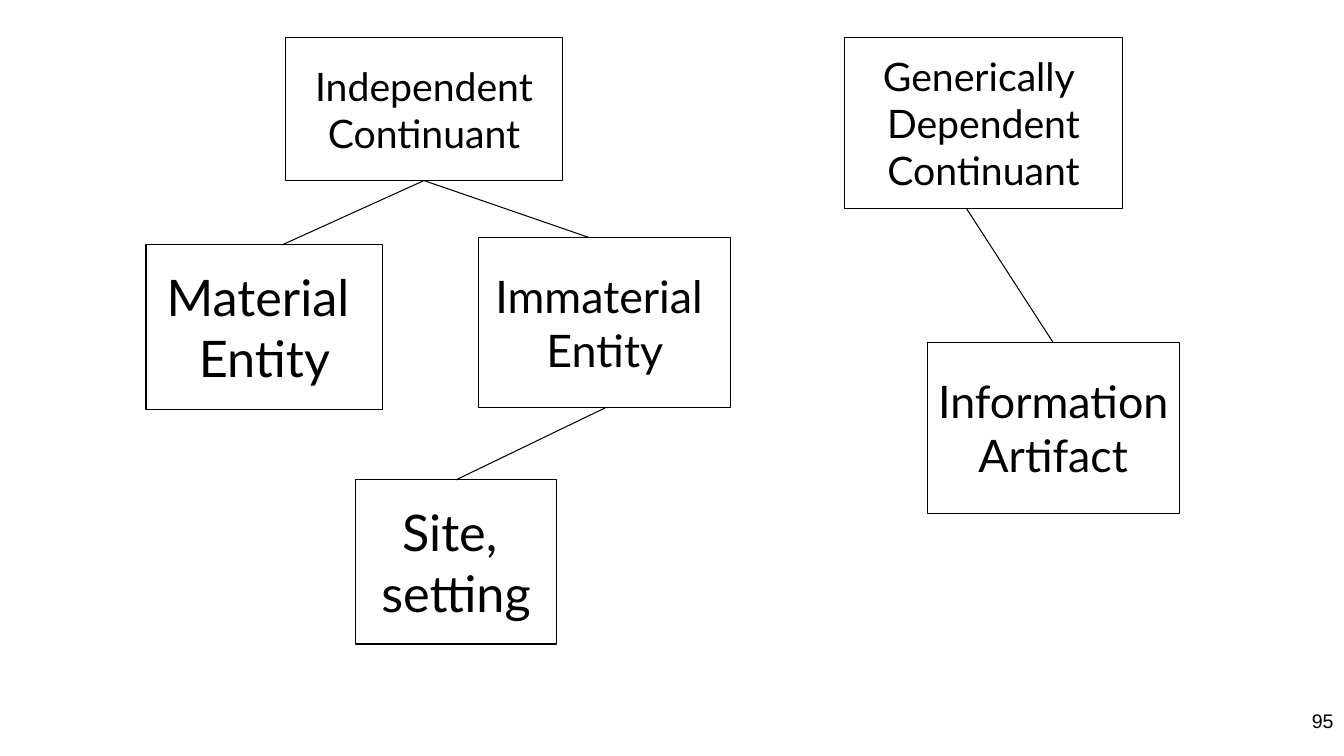
from dataclasses import dataclass

from lxml.etree import SubElement
from pptx import Presentation
from pptx.dml.color import RGBColor
from pptx.enum.shapes import MSO_CONNECTOR, MSO_SHAPE
from pptx.enum.text import MSO_ANCHOR, PP_ALIGN
from pptx.oxml.ns import qn
from pptx.util import Cm, Pt


@dataclass(frozen=True)
class Theme:
    ink: RGBColor = RGBColor(0, 0, 0)
    label_font: str = "Lato"
    number_font: str = "Arial"
    small: Pt = Pt(28)
    medium: Pt = Pt(32)
    large: Pt = Pt(36)
    number: Pt = Pt(14)
    line_width: Pt = Pt(0.75)


THEME = Theme()
TOP, BOTTOM = 0, 2

# name: (left, top, width, height in cm, type size, lines of text)
CLASSES = {
    "independent": (7.19, 0.94, 6.99, 3.61, THEME.small, ["Independent", "Continuant"]),
    "material": (3.68, 6.17, 5.97, 4.14, THEME.large, ["Material ", "Entity"]),
    "immaterial": (12.07, 5.99, 6.35, 4.29, THEME.medium, ["Immaterial ", "Entity"]),
    "site": (8.97, 12.09, 5.05, 4.14, THEME.large, ["Site, ", "setting"]),
    "generic": (21.29, 0.94, 6.99, 4.32, THEME.small,
                ["Generically ", "Dependent", "Continuant"]),
    "information": (23.37, 8.64, 6.35, 4.29, THEME.medium, ["Information", "Artifact"]),
}

# (parent, child, free start, free end); an end without a point joins its box
LINKS = [
    ("independent", "material", None, (7.11, 6.17)),
    ("independent", "immaterial", None, (14.86, 5.99)),
    ("immaterial", "site", None, None),
    ("generic", "information", (24.36, 5.26), None),
]


def apply_format(target, values):
    for name, value in values.items():
        setattr(target, name, value)


def write_lines(frame, lines, align, font_name, size):
    for index, line in enumerate(lines):
        para = frame.add_paragraph() if index else frame.paragraphs[0]
        para.alignment = align
        span = para.add_run()
        span.text = line
        apply_format(span.font, {"name": font_name, "size": size})
        span.font.color.rgb = THEME.ink


def draw_outline(item):
    item.line.color.rgb = THEME.ink
    item.line.width = THEME.line_width


def add_class_box(page, left, top, width, height, size, lines):
    box = page.shapes.add_shape(
        MSO_SHAPE.RECTANGLE, Cm(left), Cm(top), Cm(width), Cm(height))
    box.shadow.inherit = False
    box.fill.background()
    draw_outline(box)
    apply_format(box.text_frame,
                 {"word_wrap": False, "vertical_anchor": MSO_ANCHOR.MIDDLE})
    write_lines(box.text_frame, lines, PP_ALIGN.CENTER, THEME.label_font, size)
    return box


def add_link(page, parent, child, start, end):
    """Draw a line; a point of None joins the middle of that box's facing side."""
    points = [Cm(value) for value in (start or (0, 0)) + (end or (0, 0))]
    link = page.shapes.add_connector(MSO_CONNECTOR.STRAIGHT, *points)
    if start is None:
        link.begin_connect(parent, BOTTOM)
    if end is None:
        link.end_connect(child, TOP)
    draw_outline(link)
    SubElement(link._element.spPr, qn("a:effectLst"))


def add_page_number(page, number):
    box = page.shapes.add_textbox(Cm(25.96), Cm(17.73), Cm(7.9), Cm(1.32))
    box.text_frame.word_wrap = True
    write_lines(box.text_frame, [number], PP_ALIGN.RIGHT,
                THEME.number_font, THEME.number)


def main():
    deck = Presentation()
    apply_format(deck, {"slide_width": Cm(33.87), "slide_height": Cm(19.05)})
    page = deck.slides.add_slide(deck.slide_layouts[6])
    boxes = {name: add_class_box(page, *values) for name, values in CLASSES.items()}
    for parent, child, start, end in LINKS:
        add_link(page, boxes[parent], boxes[child], start, end)
    add_page_number(page, "95")
    deck.save("out.pptx")


if __name__ == "__main__":
    main()
